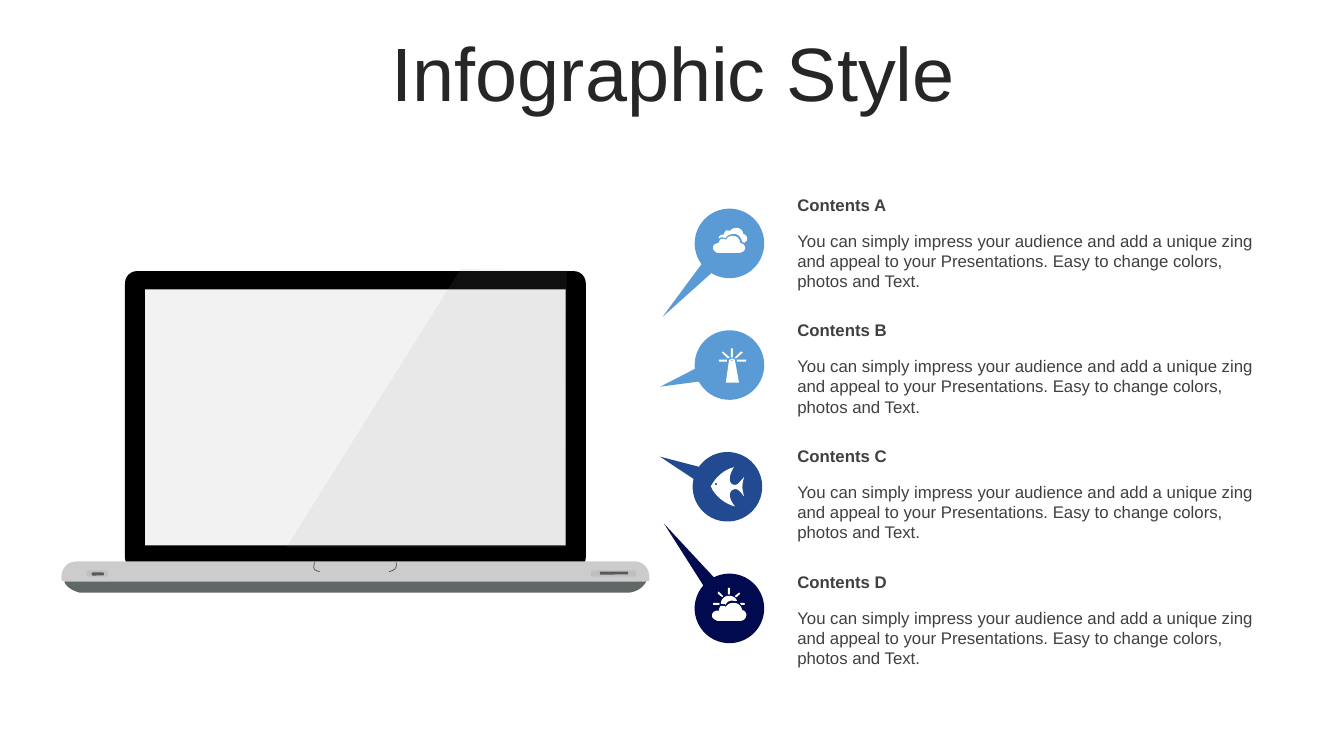
from dataclasses import dataclass

from lxml import etree
from pptx import Presentation
from pptx.dml.color import RGBColor
from pptx.enum.shapes import MSO_SHAPE
from pptx.enum.text import MSO_ANCHOR, PP_ALIGN
from pptx.oxml.ns import qn
from pptx.util import Inches, Pt

RECTANGLE = MSO_SHAPE.RECTANGLE
ROUNDED = MSO_SHAPE.ROUNDED_RECTANGLE
CALLOUT = MSO_SHAPE.OVAL_CALLOUT
CENTER = PP_ALIGN.CENTER
TOP, MIDDLE = MSO_ANCHOR.TOP, MSO_ANCHOR.MIDDLE


@dataclass(frozen=True)
class Theme:
    font: str = "Arial"
    title_size: int = 54
    text_size: int = 12
    title: str = "262626"
    text: str = "404040"
    icon: str = "FFFFFF"
    sky: str = "5A9BD5"
    blue: str = "224A90"
    navy: str = "010A4F"
    foot: str = "5F6767"
    bezel: str = "000000"
    screen: str = "F2F2F2"
    base: str = "CCCCCC"
    notch: str = "4D4D4D"
    slot: str = "BFBFBF"
    slot_core: str = "595959"
    glare: str = "999999"


THEME = Theme()

# Content
TITLE = "Infographic Style"
BODY = ("You can simply impress your audience and add a unique zing and appeal "
        "to your Presentations. Easy to change colors, photos and Text.")

# Outlines: M move, L line, C curve, in hundredths of an inch
CLOUDS = """
M 20 8 C 20 8 21 8 21 8 C 26 9 27 13 27 15 C 32 16 32 19 32 21 C 31 24 27 25 25 25
L 6 25 C 4 25 2 24 1 22 C 0 21 0 19 1 17 C 1 17 4 15 6 15 C 6 14 7 12 8 11
C 10 11 12 11 13 12 C 14 10 16 8 20 8
M 24 0 C 29 1 30 4 30 6 C 34 7 34 10 34 12 C 34 13 32 14 31 15 C 31 15 30 14 29 14
C 29 12 27 7 22 6 C 16 6 13 9 13 10 C 11 10 9 9 7 10 C 7 10 6 11 6 11
C 6 10 6 9 6 9 C 7 8 9 6 11 7 C 11 5 12 4 13 3 C 14 2 16 3 17 3 C 18 2 20 0 24 0"""
LIGHTHOUSE = """
M 11 13 C 12 11.5 14 11.5 15 13 C 14 12.4 12 12.4 11 13
M 18 11 L 27 11 L 27 13 L 18 13
M 0 11 L 8 11 L 8 13 L 0 13
M 13 10 C 15 10 16 11 16 12 L 20 34 L 7 34 L 10 12 C 11 11 12 10 13 10
M 22 3 L 24 4 L 17 10 L 16 9
M 4 3 L 11 9 L 9 10 L 3 4
M 12 0 L 14 0 L 14 9 L 12 9"""
FISH = """
M 5 16 C 5 16 4 16 4 17 C 4 18 5 18 5 18 C 6 18 6 18 6 17 C 6 16 6 16 5 16
M 23 0 C 19 6 17 14 21 17 C 27 19 27 16 33 10 C 30 20 32 24 33 29
C 30 26 27 19 21 23 C 17 26 19 33 24 39 C 15 37 4 29 0 19 C 2 16 8 4 23 0"""
SUNNY_CLOUD = """
M 27 15 L 31 15 C 32 15 32 17 31 17 L 28 17
M 1 15 L 6 15 C 7 15 7 17 6 17 L 1 17 C 0 17 0 15 1 15
M 21 15 C 21 15 21 15 22 15 C 27 16 29 20 29 22 C 33 23 34 27 33 28
C 33 32 28 33 27 33 L 6 33 C 4 33 2 32 0 30 C -1 29 -1 26 0 25 C 1 24 3 22 6 23
C 6 21 7 19 8 18 C 10 18 12 18 13 19 C 14 17 16 15 21 15
M 16 8 C 20 8 23 10 24 13 C 23 13 22 13 21 13 C 16 12 13 15 13 17
C 12 16 10 16 8 16 C 8 11 12 8 16 8
M 26 5 C 27 5 27 5 27 6 L 24 9 C 23 10 22 9 22 8
M 6 4 L 10 8 C 10 9 10 9 9 9 L 5 6 C 5 4 5 4 6 4
M 16 0 C 17 0 17 1 17 1 L 17 6 C 17 7 15 7 15 6 L 15 1 C 15 0 16 0 16 0"""
FOOT = """
M 563 321 C 563 321 575 320 580 310 C 580 307 577 304 574 304 L 16 306 L 9 306
C 6 306 3 308 3 311 C 7 318 15 320 18 321"""
BASE = """
M 15 290 L 569 290 C 577 290 583 297 583 305 L 583 308 C 583 308 584 310 578 310
L 7 310 C 3 310 0 310 0 307 L 0 305 C 0 297 6 290 15 290"""
NOTCH = "M 251 291 C 249 298 251 299 256 300 M 332 291 C 333 298 329 299 325 300"
GLARE = "M 396 0 L 501 1 L 500 276 L 223 276"

# Heading, colour, circle left, tail tip, icon, icon offset inside the circle
ROWS = [
    ("Contents A", THEME.sky, 6.89, (-0.37, 1.38), CLOUDS, (0.18, 0.19)),
    ("Contents B", THEME.sky, 6.89, (-0.74, 0.73), LIGHTHOUSE, (0.24, 0.18)),
    ("Contents C", THEME.blue, 6.87, (-1.06, 0.06), FISH, (0.18, 0.15)),
    ("Contents D", THEME.navy, 6.89, (-1.39, -0.65), SUNNY_CLOUD, (0.18, 0.14)),
]
# Left, top, width, height inside the laptop, colour
SLOTS = [
    (0.25, 2.99, 0.21, 0.06, THEME.slot),
    (0.30, 3.01, 0.12, 0.03, THEME.slot_core),
    (5.25, 2.99, 0.45, 0.06, THEME.slot),
    (5.34, 3.00, 0.28, 0.03, THEME.slot_core),
]

# Layout, in inches
LAPTOP_LEFT, LAPTOP_TOP = 0.61, 2.67
CIRCLE_TOP, CIRCLE_PITCH, CIRCLE_SIZE, CIRCLE_TURN = 2.07, 1.207, 0.69, 27.3
TEXT_LEFT, TEXT_TOP, TEXT_WIDTH, TEXT_PITCH = 7.81, 1.88, 4.84, 1.247
HEADING_HEIGHT, BODY_HEIGHT, BODY_DROP = 0.3, 0.71, 0.355
CURVE_STEPS = 8

presentation = Presentation()
presentation.slide_width, presentation.slide_height = Inches(13.33), Inches(7.5)
slide = presentation.slides.add_slide(presentation.slide_layouts[6])
shapes = slide.shapes


def paint(shape, color):
    shape.shadow.inherit = False
    shape.fill.solid()
    shape.fill.fore_color.rgb = RGBColor.from_string(color)
    shape.line.fill.background()
    return shape


def add_preset(kind, left, top, width, height, color):
    box = (Inches(value) for value in (left, top, width, height))
    return paint(shapes.add_shape(kind, *box), color)


def contours(outline):
    """Turn an outline into lists of points, with curves cut into short lines."""
    for part in outline.split("M")[1:]:
        points = []
        for step in part.replace("L", "|L").replace("C", "|C").split("|"):
            numbers = [float(word) for word in step.strip("LC \n").split()]
            pairs = list(zip(numbers[::2], numbers[1::2]))
            if step.startswith("C"):
                curve = [points[-1]] + pairs
                for index in range(1, CURVE_STEPS + 1):
                    t = index / CURVE_STEPS
                    weights = ((1 - t) ** 3, 3 * t * (1 - t) ** 2, 3 * t * t * (1 - t), t ** 3)
                    points.append(tuple(sum(w * point[axis] for w, point in zip(weights, curve))
                                        for axis in (0, 1)))
            else:
                points += pairs
        yield points


def add_outline(outline, left, top, color, closed=True):
    builder = None
    for points in contours(outline):
        placed = [(Inches(left + x / 100), Inches(top + y / 100)) for x, y in points]
        if builder is None:
            builder = shapes.build_freeform(*placed[0])
        else:
            builder.move_to(*placed[0])
        builder.add_line_segments(placed[1:], close=closed)
    return paint(builder.convert_to_shape(), color)


def add_text(text, left, top, width, height, size, color, bold=False, anchor=TOP):
    box = shapes.add_textbox(Inches(left), Inches(top), Inches(width), Inches(height))
    frame = box.text_frame
    frame.word_wrap = True
    frame.vertical_anchor = anchor
    paragraph = frame.paragraphs[0]
    run = paragraph.add_run()
    run.text = text
    run.font.name, run.font.size, run.font.bold = THEME.font, Pt(size), bold
    run.font.color.rgb = RGBColor.from_string(color)
    return paragraph


# Laptop
add_outline(FOOT, LAPTOP_LEFT, LAPTOP_TOP, THEME.foot)
bezel = add_preset(ROUNDED, LAPTOP_LEFT + 0.63, LAPTOP_TOP + 0.02, 4.57, 2.96, THEME.bezel)
bezel.adjustments[0] = 0.04
add_preset(RECTANGLE, LAPTOP_LEFT + 0.83, LAPTOP_TOP + 0.2, 4.17, 2.54, THEME.screen)
add_outline(BASE, LAPTOP_LEFT, LAPTOP_TOP, THEME.base)
notch = add_outline(NOTCH, LAPTOP_LEFT, LAPTOP_TOP, THEME.notch, closed=False)
notch.fill.background()
notch.line.color.rgb = RGBColor.from_string(THEME.notch)
notch.line.width = Pt(0.5)
for left, top, width, height, color in SLOTS:
    slot = add_preset(ROUNDED, LAPTOP_LEFT + left, LAPTOP_TOP + top, width, height, color)
    slot.adjustments[0] = 0.28
glare = add_outline(GLARE, LAPTOP_LEFT, LAPTOP_TOP, THEME.glare)
glare_color = glare.fill._xPr.find(qn("a:solidFill"))[0]
etree.SubElement(glare_color, qn("a:alpha")).set("val", "10000")

# Title
title = add_text(TITLE, 0.35, 0.37, 12.66, 0.79, THEME.title_size, THEME.title, anchor=MIDDLE)
title.alignment = CENTER
title.line_spacing = 0.9

# Callouts with icons and text
for row, (heading, color, circle_left, tail, icon, offset) in enumerate(ROWS):
    circle_top = CIRCLE_TOP + row * CIRCLE_PITCH
    callout = add_preset(CALLOUT, circle_left, circle_top, CIRCLE_SIZE, CIRCLE_SIZE, color)
    callout.rotation = CIRCLE_TURN
    callout.adjustments[0], callout.adjustments[1] = tail
    add_outline(icon, circle_left + offset[0], circle_top + offset[1], THEME.icon)
    text_top = TEXT_TOP + row * TEXT_PITCH
    add_text(heading, TEXT_LEFT, text_top, TEXT_WIDTH, HEADING_HEIGHT,
             THEME.text_size, THEME.text, bold=True)
    add_text(BODY, TEXT_LEFT, text_top + BODY_DROP, TEXT_WIDTH, BODY_HEIGHT,
             THEME.text_size, THEME.text)

presentation.save("out.pptx")
